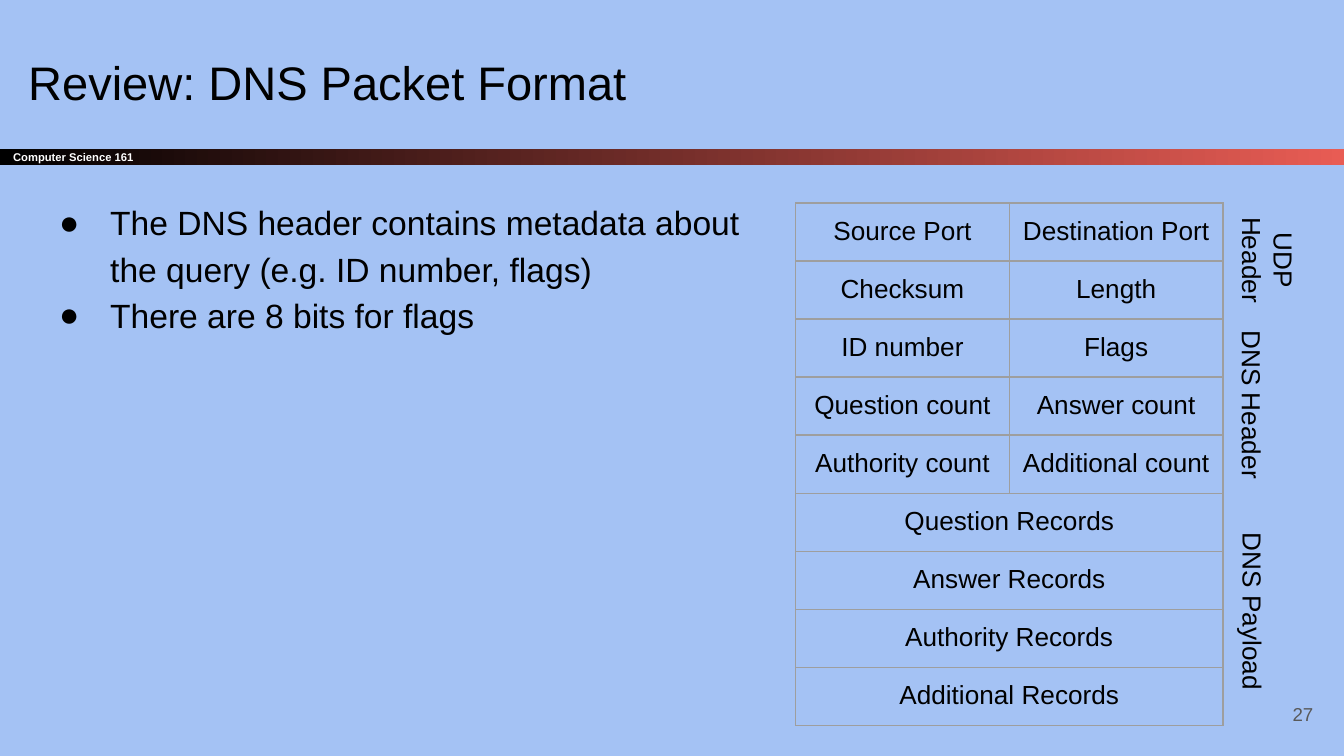
from lxml import etree
from pptx import Presentation
from pptx import util as u
from pptx.dml.color import RGBColor
from pptx.enum import shapes, text
from pptx.oxml import parse_xml
from pptx.oxml.ns import nsdecls, qn

PX = 9144  # 100 px to the inch
COLORS = {
    "background": "A4C2F4",
    "ink": "000000",
    "bar_end": "E85C54",
    "white": "FFFFFF",
    "number": "595959",
    "border": "9E9E9E",
}
LEFT, CENTER, RIGHT = text.PP_ALIGN.LEFT, text.PP_ALIGN.CENTER, text.PP_ALIGN.RIGHT
TOP, MIDDLE = text.MSO_ANCHOR.TOP, text.MSO_ANCHOR.MIDDLE


def rgb(name):
    return RGBColor.from_string(COLORS[name])


def write(tf, *lines, size, color="ink", bold=False, align=LEFT, anchor=TOP, bullet=None):
    """Fill a text frame with one paragraph per line."""
    tf.word_wrap = True
    tf.auto_size = text.MSO_AUTO_SIZE.NONE
    tf.vertical_anchor = anchor
    tf.margin_left = tf.margin_right = tf.margin_top = tf.margin_bottom = 10 * PX
    for i, line in enumerate(lines):
        p = tf.paragraphs[0] if i == 0 else tf.add_paragraph()
        p.alignment = align
        p.space_before = u.Pt(0)
        if bullet:
            p.line_spacing = 1.15
            pPr = p._p.get_or_add_pPr()
            pPr.set("marL", str(50 * PX))
            pPr.set("indent", str(-38 * PX))
            etree.SubElement(pPr, qn("a:buChar")).set("char", bullet)
        r = p.add_run()
        r.text = line
        r.font.name = "Arial"
        r.font.size = u.Pt(size)
        r.font.bold = bold
        r.font.color.rgb = rgb(color)


prs = Presentation()
prs.slide_width = 1000 * PX
prs.slide_height = prs.slide_width * 9 // 16
s = prs.slides.add_slide(prs.slide_layouts[1])
s.background.fill.solid()
s.background.fill.fore_color.rgb = rgb("background")

# Course bar
bar = s.shapes.add_shape(shapes.MSO_SHAPE.RECTANGLE, 0, 111 * PX, 1000 * PX, 12 * PX)
bar.shadow.inherit = False
bar.line.fill.background()
bar.fill.gradient()
bar.fill.gradient_angle = 0
for stop, name in zip(bar.fill.gradient_stops, ("ink", "bar_end")):
    stop.color.rgb = rgb(name)
write(bar.text_frame, "Computer Science 161", size=6, color="white", bold=True, anchor=MIDDLE)

# Title and bullets
title, body = s.shapes.title, s.placeholders[1]
title.left, title.top, title.width, title.height = 11 * PX, 30 * PX, 932 * PX, 63 * PX
write(title.text_frame, "Review: DNS Packet Format", size=25.2)
body.left, body.top, body.width, body.height = 22 * PX, 136 * PX, 562 * PX, 412 * PX
write(
    body.text_frame,
    "The DNS header contains metadata about the query (e.g. ID number, flags)",
    "There are 8 bits for flags",
    size=18, bullet="●",
)

# Slide number
number = s.shapes.add_textbox(927 * PX, 510 * PX, 60 * PX, 43 * PX)
write(number.text_frame, "27", size=10, color="number", align=RIGHT, anchor=MIDDLE)

# Packet layout: a row with one field spans both columns
fields = [
    ("Source Port", "Destination Port"),
    ("Checksum", "Length"),
    ("ID number", "Flags"),
    ("Question count", "Answer count"),
    ("Authority count", "Additional count"),
    ("Question Records",),
    ("Answer Records",),
    ("Authority Records",),
    ("Additional Records",),
]
packet = s.shapes.add_table(len(fields), 2, 592 * PX, 151 * PX, 318 * PX, 389 * PX).table
packet.first_row = packet.horz_banding = False
for row, names in enumerate(fields):
    if len(names) == 1:
        packet.cell(row, 0).merge(packet.cell(row, 1))
    for col in range(2):
        cell = packet.cell(row, col)
        tcPr = cell._tc.get_or_add_tcPr()
        for side in ("lnL", "lnR", "lnT", "lnB"):
            tcPr.append(parse_xml(
                f'<a:{side} {nsdecls("a")} w="{u.Pt(0.75)}"><a:solidFill>'
                f'<a:srgbClr val="{COLORS["border"]}"/></a:solidFill></a:{side}>'
            ))
        cell.fill.background()
        cell.margin_left = cell.margin_right = 10 * PX
        cell.margin_top = cell.margin_bottom = 10 * PX
    for col, name in enumerate(names):
        cell = packet.cell(row, col)
        p = cell.text_frame.paragraphs[0]
        p.alignment = CENTER
        r = p.add_run()
        r.text = name
        r.font.name = "Arial"
        r.font.size = u.Pt(14)
        r.font.color.rgb = rgb("ink")

# Section labels, turned to read downwards
for label, x, y, w, h in [
    ("DNS Payload", 846, 433, 172, 44),
    ("UDP Header", 900, 160, 87, 67),
    ("DNS Header", 866, 279, 131, 44),
]:
    sp = s.shapes.add_textbox(x * PX, y * PX, w * PX, h * PX)
    sp.rotation = 90
    write(sp.text_frame, label, size=14, align=CENTER)

prs.save("out.pptx")
